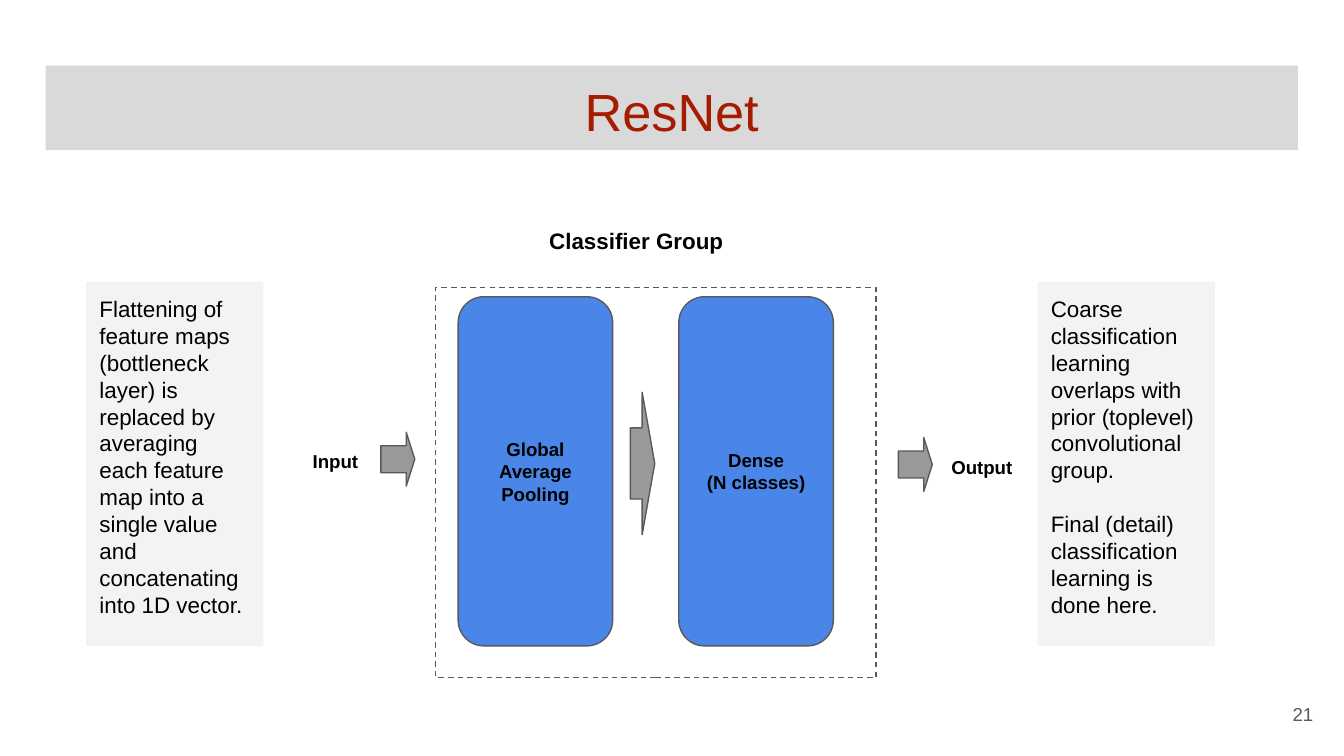
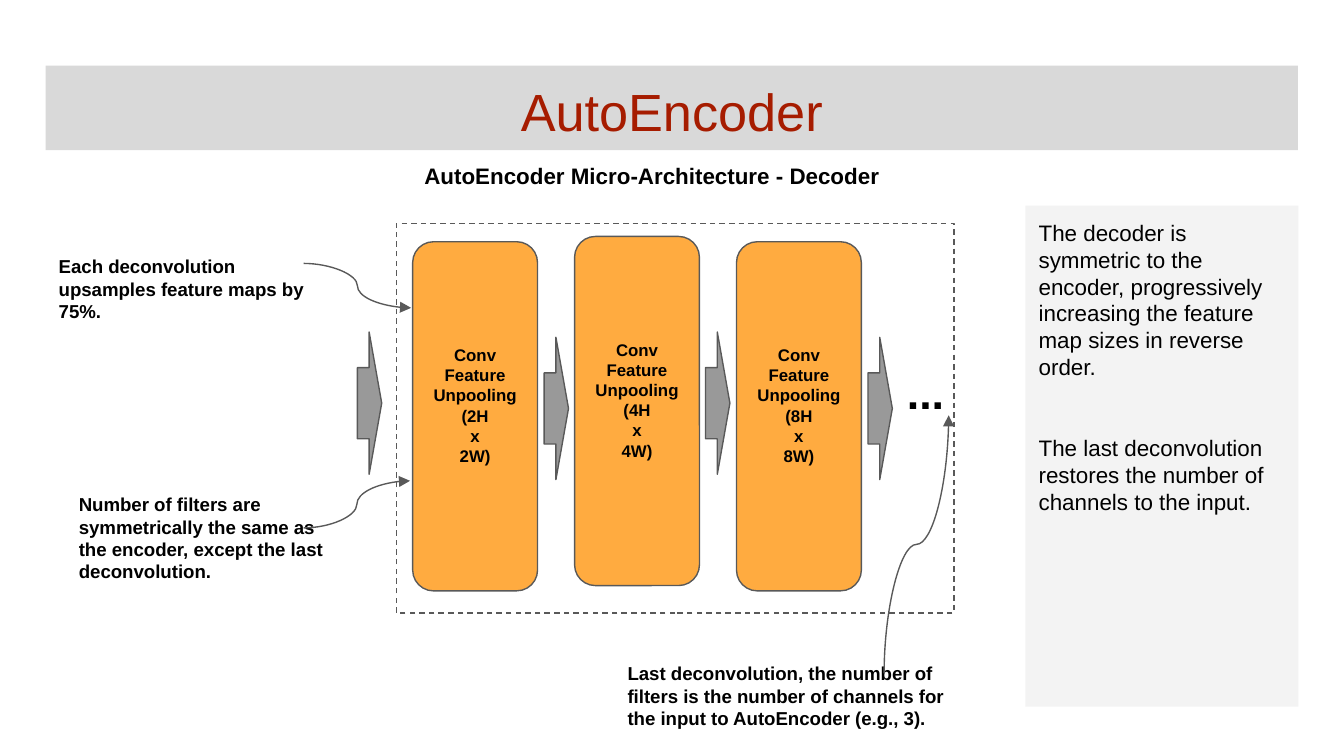
from dataclasses import dataclass

from lxml import etree
from pptx import Presentation
from pptx.dml.color import RGBColor
from pptx.enum.dml import MSO_LINE
from pptx.enum.shapes import MSO_CONNECTOR, MSO_SHAPE
from pptx.enum.text import MSO_ANCHOR, MSO_AUTO_SIZE, PP_ALIGN
from pptx.oxml.ns import qn
from pptx.util import Cm, Pt

RECT, ROUNDED, DOWN = MSO_SHAPE.RECTANGLE, MSO_SHAPE.ROUNDED_RECTANGLE, MSO_SHAPE.DOWN_ARROW
CURVE, DASH = MSO_CONNECTOR.CURVE, MSO_LINE.DASH
TOP, MIDDLE = MSO_ANCHOR.TOP, MSO_ANCHOR.MIDDLE
LEFT, CENTER, RIGHT = PP_ALIGN.LEFT, PP_ALIGN.CENTER, PP_ALIGN.RIGHT
NO_AUTOFIT = MSO_AUTO_SIZE.NONE


@dataclass(frozen=True)
class Theme:
    font: str = "Arial"
    band: str = "D9D9D9"
    title: str = "A61C00"
    text: str = "000000"
    outline: str = "595959"
    arrow: str = "999999"
    panel: str = "F3F3F3"
    classifier: str = "4A86E8"
    decoder: str = "FFAB40"
    title_size: float = 28
    dots_size: float = 24
    body_size: float = 12
    label_size: float = 10
    layer_size: float = 9
    line_width: float = 0.75
    inset: float = 0.25


theme = Theme()


def draw(slide, kind, box, fill=None, outlined=True):
    """Add a preset shape; box is left, top, width, height in cm."""
    shape = slide.shapes.add_shape(kind, *map(Cm, box))
    shape.shadow.inherit = False
    if fill:
        shape.fill.solid()
        shape.fill.fore_color.rgb = RGBColor.from_string(fill)
    else:
        shape.fill.background()
    if outlined:
        shape.line.color.rgb = RGBColor.from_string(theme.outline)
        shape.line.width = Pt(theme.line_width)
    else:
        shape.line.fill.background()
    return shape


def write(shape, lines, size, bold=False, color=theme.text, align=LEFT,
          anchor=TOP, gap=0, bottom=theme.inset):
    """Write one paragraph per line, with gap points between them."""
    frame = shape.text_frame
    frame.word_wrap = True
    frame.auto_size = NO_AUTOFIT
    frame.vertical_anchor = anchor
    frame.margin_left = frame.margin_right = frame.margin_top = Cm(theme.inset)
    frame.margin_bottom = Cm(bottom)
    for i, line in enumerate(lines):
        paragraph = frame.add_paragraph() if i else frame.paragraphs[0]
        paragraph.alignment = align
        paragraph.space_before = Pt(gap if i else 0)
        run = paragraph.add_run()
        run.text = line
        run.font.name = theme.font
        run.font.size = Pt(size)
        run.font.bold = bold
        run.font.color.rgb = RGBColor.from_string(color)


prs = Presentation()
prs.slide_width, prs.slide_height = Cm(25.4), Cm(14.29)
title_only = prs.slide_layouts[5]

# Both slides: title band, bold heading, dashed group frame
slides = []
for title, heading, heading_box, frame_box in (
    ("ResNet", "Classifier Group", (10.13, 4.04, 5.92, 1.09), (8.23, 5.44, 8.33, 7.37)),
    ("AutoEncoder", "AutoEncoder Micro-Architecture - Decoder",
     (7.77, 2.82, 10.54, 1.09), (7.49, 4.22, 10.54, 7.37)),
):
    slide = prs.slides.add_slide(title_only)
    band = slide.shapes.title
    band.left, band.top, band.width, band.height = map(Cm, (0.86, 1.24, 23.67, 1.6))
    band.fill.solid()
    band.fill.fore_color.rgb = RGBColor.from_string(theme.band)
    write(band, [title], theme.title_size, color=theme.title, align=CENTER)
    write(slide.shapes.add_textbox(*map(Cm, heading_box)), [heading],
          theme.body_size, bold=True)
    draw(slide, RECT, frame_box).line.dash_style = DASH
    slides.append(slide)
resnet, autoencoder = slides

# ResNet: classifier layers
for left, layer in ((8.66, ["Global", "Average", "Pooling"]),
                    (12.83, ["Dense", "(N classes)"])):
    block = draw(resnet, ROUNDED, (left, 5.61, 2.92, 6.6), theme.classifier)
    write(block, layer, theme.label_size, bold=True, align=CENTER, anchor=MIDDLE)

# AutoEncoder: unpooling layers, each doubling the feature map
for i, scale in enumerate((2, 4, 8)):
    top = 4.47 if i == 1 else 4.57
    block = draw(autoencoder, ROUNDED, (7.8 + 3.06 * i, top, 2.36, 6.6), theme.decoder)
    write(block, ["Conv", "Feature", "Unpooling", f"({scale}H", "x", f"{scale}W)"],
          theme.layer_size, bold=True, align=CENTER, anchor=MIDDLE, bottom=0.67)

# Flow arrows: down arrows turned to point right
small, large = (1.02, 0.64, 0.253), (2.69, 0.46, 0.517)
for slide, left, top, (width, height, head) in (
    (resnet, 7.01, 8.36, small),
    (resnet, 10.8, 8.53, large),
    (resnet, 16.79, 8.46, small),
    (autoencoder, 5.64, 7.39, large),
    (autoencoder, 9.17, 7.49, large),
    (autoencoder, 12.22, 7.39, large),
    (autoencoder, 15.29, 7.49, large),
):
    arrow = draw(slide, DOWN, (left, top, width, height), theme.arrow)
    arrow.rotation = 270
    arrow.adjustments[0], arrow.adjustments[1] = 0.5, head

# Bold labels and callouts
for slide, box, label, size in (
    (resnet, (5.66, 8.26, 1.55, 0.81), "Input", theme.label_size),
    (resnet, (17.73, 8.36, 2.26, 0.81), "Output", theme.label_size),
    (autoencoder, (16.89, 6.65, 2.11, 1.17), "...", theme.dots_size),
    (autoencoder, (0.86, 4.57, 5.28, 2.26),
     "Each deconvolution upsamples feature maps by 75%.", theme.label_size),
    (autoencoder, (1.24, 9.07, 5.28, 2.26),
     "Number of filters are symmetrically the same as the encoder, "
     "except the last deconvolution.", theme.label_size),
    (autoencoder, (11.61, 12.27, 6.55, 2.03),
     "Last deconvolution, the number of filters is the number of channels "
     "for the input to AutoEncoder (e.g., 3).", theme.label_size),
):
    write(slide.shapes.add_textbox(*map(Cm, box)), [label], size, bold=True)

# Curved pointers from the callouts; the last one is turned upright
for ends, turn in (
    ((5.74, 4.98, 7.77, 5.82), 0),
    ((5.74, 9.98, 7.75, 9.09), 0),
    ((14.88, 9.68, 19.76, 10.9), 270),
):
    pointer = autoencoder.shapes.add_connector(CURVE, *map(Cm, ends))
    pointer.line.color.rgb = RGBColor.from_string(theme.outline)
    pointer.line.width = Pt(theme.line_width)
    properties = pointer._element.spPr
    etree.SubElement(properties.find(qn("a:ln")), qn("a:tailEnd"), type="triangle")
    etree.SubElement(properties, qn("a:effectLst"))
    if turn:
        properties.find(qn("a:xfrm")).set("rot", str(turn * 60000))

# Explanation panels
for slide, box, notes, gap in (
    (resnet, (1.63, 5.33, 3.35, 6.88),
     ["Flattening of feature maps (bottleneck layer) is replaced by averaging each "
      "feature map into a single value and concatenating into 1D vector."], 0),
    (resnet, (19.61, 5.33, 3.35, 6.88),
     ["Coarse classification learning overlaps with prior (toplevel) convolutional group.",
      "Final (detail) classification learning is done here."], 14.4),
    (autoencoder, (19.38, 3.89, 5.16, 9.47),
     ["The decoder is symmetric to the encoder, progressively increasing the feature "
      "map sizes in reverse order.",
      "The last deconvolution restores the number of channels to the input."], 28.8),
):
    panel = draw(slide, RECT, box, theme.panel, outlined=False)
    write(panel, notes, theme.body_size, gap=gap)

# Page number
page_number = resnet.shapes.add_textbox(*map(Cm, (23.55, 12.95, 1.52, 1.09)))
write(page_number, ["21"], theme.label_size, color=theme.outline, align=RIGHT, anchor=MIDDLE)

prs.save("out.pptx")
